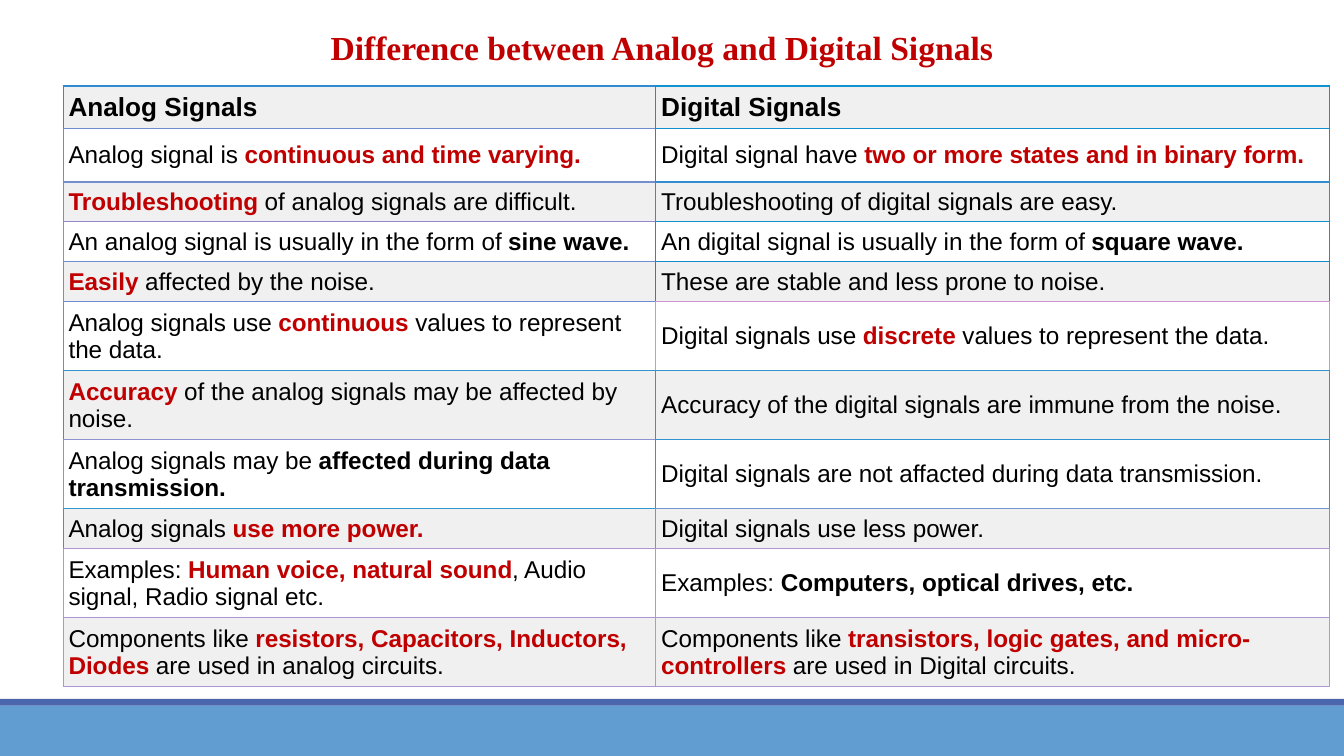
from lxml import etree
from pptx import Presentation
from pptx.dml.color import RGBColor
from pptx.enum.shapes import MSO_SHAPE
from pptx.enum.text import MSO_ANCHOR, MSO_AUTO_SIZE, PP_ALIGN
from pptx.oxml.ns import qn
from pptx.util import Pt

RECTANGLE = MSO_SHAPE.RECTANGLE
MIDDLE, TOP = MSO_ANCHOR.MIDDLE, MSO_ANCHOR.TOP
GROW = MSO_AUTO_SIZE.SHAPE_TO_FIT_TEXT
LEFT = PP_ALIGN.LEFT
TITLE_ONLY = 5
EMU_PER_PX = 4572
BORDER_WIDTH = Pt(0.75)

COLORS = {
    "text": "000000", "accent": "C00000", "shaded": "F0F0F0", "plain": "FFFFFF",
    "footer": "629DD1", "stripe": "4A66AC",
}
EDGE_COLORS = {
    "analog": "308CD0 708AD0 7090D0 9089D0 708ED0 708CD0 3095D0 9092D0 3099D0 B095D0 B093D0".split(),
    "digital": "1091D0 108ED0 308ED0 1091D0 108BD0 D093D0 3094D0 3095D0 7095D0 B095D0 B098D0".split(),
}
COLUMN_WIDTHS = (882, 1002)
ROW_HEIGHTS = (56, 80, 56, 44, 56, 96, 96, 96, 56, 96, 96)

PLAIN = {}
BOLD = {"bold": True}
KEY = {"bold": True, "color": "accent"}
HEADER = {"bold": True, "size": 14}

COMPARISON = [
    ([("Analog Signals", HEADER)],
     [("Digital Signals", HEADER)]),
    ([("Analog signal is ", PLAIN), ("continuous and time varying.", KEY)],
     [("Digital signal have ", PLAIN), ("two or more states and in binary form.", KEY)]),
    ([("Troubleshooting", KEY), (" of analog signals are difficult.", PLAIN)],
     [("Troubleshooting of digital signals are easy.", PLAIN)]),
    ([("An analog signal is usually in the form of ", PLAIN), ("sine wave.", BOLD)],
     [("An digital signal is usually in the form of ", PLAIN), ("square wave.", BOLD)]),
    ([("Easily", KEY), (" affected by the noise.", PLAIN)],
     [("These are stable and less prone to noise.", PLAIN)]),
    ([("Analog signals use ", PLAIN), ("continuous", KEY), (" values to represent the data.", PLAIN)],
     [("Digital signals use ", PLAIN), ("discrete", KEY), (" values to represent the data.", PLAIN)]),
    ([("Accuracy", KEY), (" of the analog signals may be affected by noise.", PLAIN)],
     [("Accuracy of the digital signals are immune from the noise.", PLAIN)]),
    ([("Analog signals may be ", PLAIN), ("affected during data transmission.", BOLD)],
     [("Digital signals are not affacted during data transmission.", PLAIN)]),
    ([("Analog signals ", PLAIN), ("use more power.", KEY)],
     [("Digital signals use less power.", PLAIN)]),
    ([("Examples: ", PLAIN), ("Human voice, natural sound", KEY), (", Audio signal, Radio signal etc.", PLAIN)],
     [("Examples: ", PLAIN), ("Computers, optical drives, etc.", BOLD)]),
    ([("Components like ", PLAIN), ("resistors, Capacitors, Inductors, Diodes", KEY),
      (" are used in analog circuits.", PLAIN)],
     [("Components like ", PLAIN), ("transistors, logic gates, and micro-controllers ", KEY),
      ("are used in Digital circuits.", PLAIN)]),
]


def px(length):
    """Convert px to EMU."""
    return length * EMU_PER_PX


def add_text(paragraph, text, size=13, font="Arial", color="text", bold=False):
    """Append a formatted run to a paragraph."""
    run = paragraph.add_run()
    run.text = text
    run.font.size = Pt(size)
    run.font.name = font
    run.font.bold = bold
    run.font.color.rgb = RGBColor.from_string(COLORS[color])


def set_borders(cell, **edges):
    """Draw the cell edges, given in schema order as tag=colour."""
    properties = cell._tc.get_or_add_tcPr()
    for position, (tag, color) in enumerate(edges.items()):
        line = etree.Element(qn(f"a:{tag}"), w=str(BORDER_WIDTH))
        fill = etree.SubElement(line, qn("a:solidFill"))
        etree.SubElement(fill, qn("a:srgbClr"), val=color)
        properties.insert(position, line)


def place_heading(slide, left, top, width, height):
    """Format the title placeholder in the given box."""
    heading = slide.shapes.title
    heading.left, heading.top = px(left), px(top)
    heading.width, heading.height = px(width), px(height)
    frame = heading.text_frame
    frame.word_wrap = True
    frame.auto_size = GROW
    frame.vertical_anchor = TOP
    paragraph = frame.paragraphs[0]
    paragraph.alignment = LEFT
    add_text(paragraph, "Difference between Analog and Digital Signals",
             size=18, font="Times New Roman", color="accent", bold=True)


def place_comparison(slide, left, top):
    """Build the two-column comparison table from its top left corner."""
    table = slide.shapes.add_table(
        len(COMPARISON), len(COLUMN_WIDTHS), px(left), px(top),
        px(sum(COLUMN_WIDTHS)), px(sum(ROW_HEIGHTS))).table
    for column, width in zip(table.columns, COLUMN_WIDTHS):
        column.width = px(width)
    edges = list(zip(*EDGE_COLORS.values()))
    last_row, last_column = len(COMPARISON) - 1, len(COLUMN_WIDTHS) - 1
    for row, statements in enumerate(COMPARISON):
        table.rows[row].height = px(ROW_HEIGHTS[row])
        for column, statement in enumerate(statements):
            cell = table.cell(row, column)
            cell.margin_left = cell.margin_right = px(8)
            cell.margin_top = cell.margin_bottom = px(8)
            cell.vertical_anchor = MIDDLE
            cell.fill.solid()
            shade = "plain" if row % 2 else "shaded"
            cell.fill.fore_color.rgb = RGBColor.from_string(COLORS[shade])
            own = edges[row][column]
            set_borders(cell, lnL=own, lnR=edges[row][min(column + 1, last_column)],
                        lnT=own, lnB=edges[min(row + 1, last_row)][column])
            for text, style in statement:
                add_text(cell.text_frame.paragraphs[0], text, **style)


def place_footer(slide, left, top, width, height):
    """Draw the thin stripe and the footer band below it."""
    stripe = 10
    for color, offset, depth in (("footer", stripe, height - stripe), ("stripe", 0, stripe)):
        band = slide.shapes.add_shape(RECTANGLE, px(left), px(top + offset), px(width), px(depth))
        band.shadow.inherit = False
        band.fill.solid()
        band.fill.fore_color.rgb = RGBColor.from_string(COLORS[color])
        band.line.fill.background()


def main():
    """Build and save the slide."""
    deck = Presentation()
    deck.slide_width, deck.slide_height = px(2000), px(1125)
    slide = deck.slides.add_slide(deck.slide_layouts[TITLE_ONLY])
    place_footer(slide, 0, 1040, 2000, 85)
    place_heading(slide, 472, 30, 1098, 80)
    place_comparison(slide, 94, 128)
    deck.save("out.pptx")


if __name__ == "__main__":
    main()
